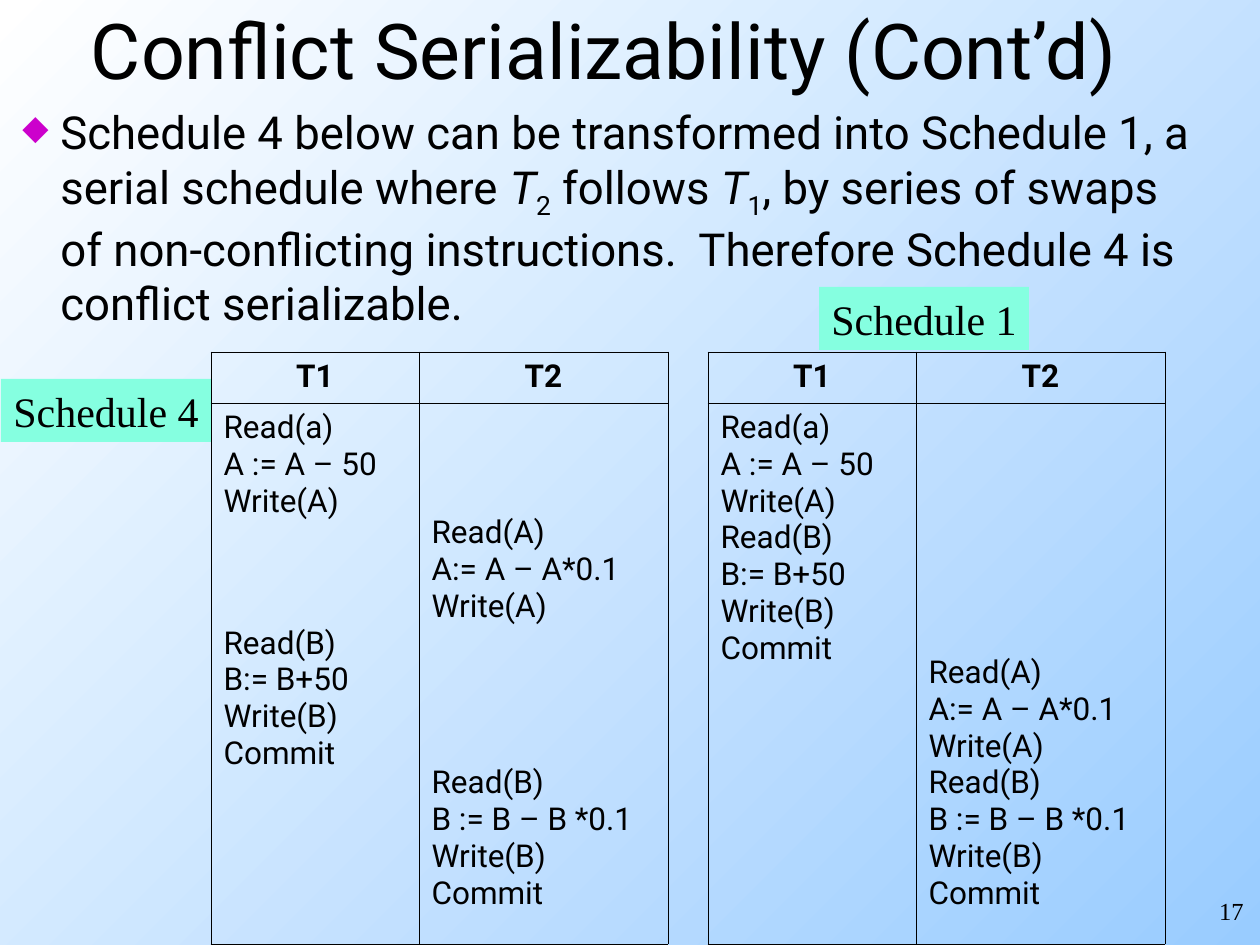
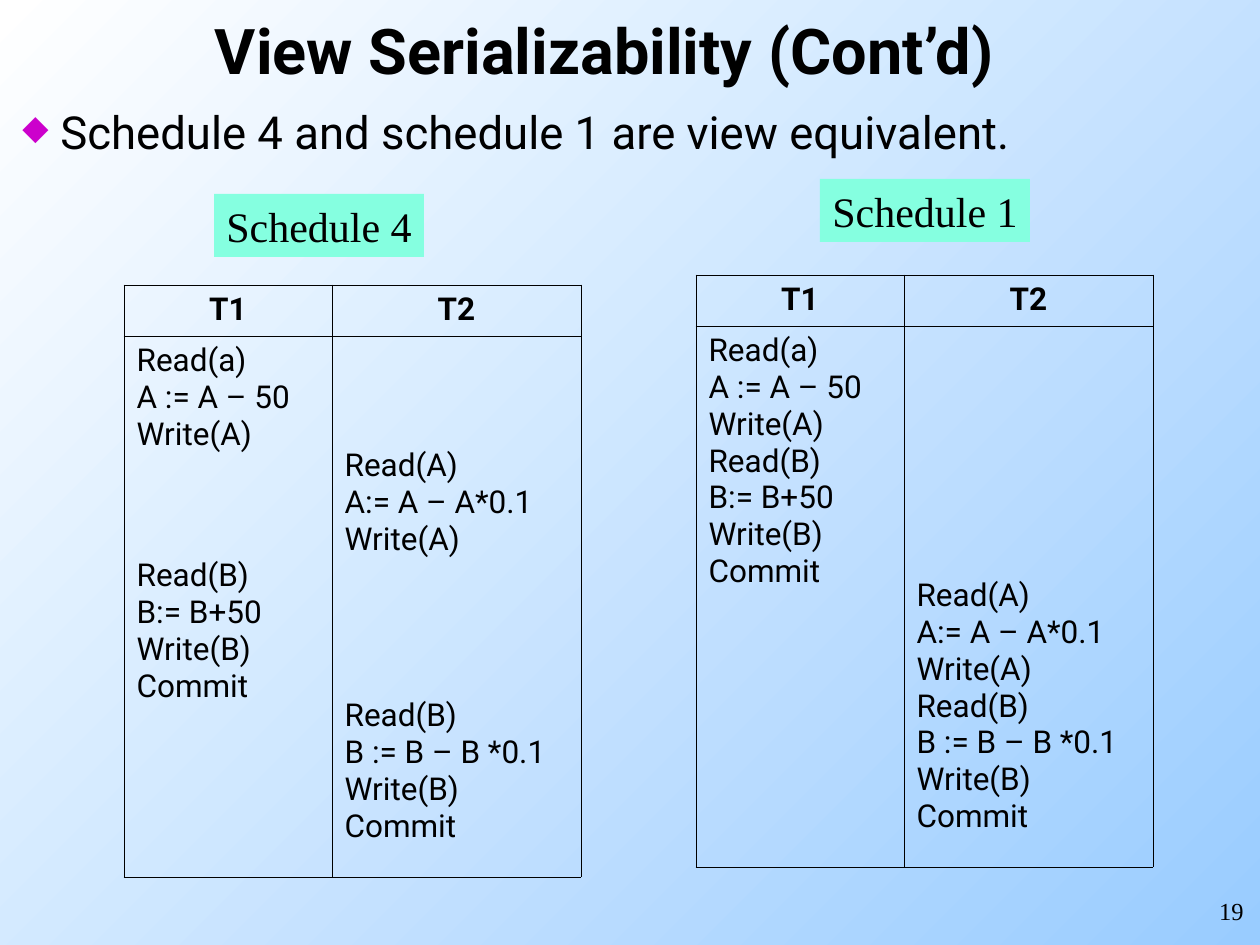
from pptx import Presentation, oxml
from pptx import util as u
from pptx.dml import color
from pptx.enum import shapes, text
from pptx.oxml import ns

PX_PER_INCH = 126
BLACK, WHITE, SKY = "000000", "FFFFFF", "99CCFF"
MINT, MAGENTA = "85FFE0", "CC00CC"
SANS, SERIF = "Roboto", "Times New Roman"


def px(length):
    return u.Emu(round(length * u.Inches(1) / PX_PER_INCH))


def rgb(code):
    return color.RGBColor.from_string(code)


class Page:
    """Style of the deck and the slide being drawn."""

    column_widths = (208, 249)
    row_heights = (51, 541)
    gap_step = 35      # height of one idle step in a schedule
    border_points = 0.45

    def __init__(self, deck):
        self.slide = deck.slides.add_slide(deck.slide_layouts[6])
        fill = self.slide.background.fill
        fill.gradient()
        fill.gradient_angle = 315
        for stop, position, code in zip(fill.gradient_stops, (0, 1), (WHITE, SKY)):
            stop.position = position
            stop.color.rgb = rgb(code)

    def style(self, para, size, face=SANS, bold=False, align=text.PP_ALIGN.LEFT):
        para.alignment = align
        for span in para.runs:
            span.font.size = u.Pt(size)
            span.font.name = face
            span.font.bold = bold
            span.font.color.rgb = rgb(BLACK)

    def text_box(self, left, top, width, height):
        box = self.slide.shapes.add_textbox(px(left), px(top), px(width), px(height))
        box.text_frame.word_wrap = True
        return box.text_frame

    def title(self, words, size, bold=False):
        frame = self.text_box(69, 0, 1071, 98)
        frame.margin_top = frame.margin_bottom = 0
        frame.vertical_anchor = text.MSO_ANCHOR.MIDDLE
        frame.text = words
        self.style(frame.paragraphs[0], size, bold=bold, align=text.PP_ALIGN.CENTER)

    def bullet(self, pieces):
        """Draw one bullet from (words, kind) pieces; kind is "", "italic" or "sub"."""
        para = self.text_box(0, 98, 1211, 561).paragraphs[0]
        for words, kind in pieces:
            span = para.add_run()
            span.text = words
            if kind == "italic":
                span.font.italic = True
            elif kind == "sub":
                span._r.get_or_add_rPr().set("baseline", "-25000")
        self.style(para, 26)
        props = para._p.get_or_add_pPr()
        props.set("marL", str(px(48)))
        props.set("indent", str(px(-38)))
        for markup in (f'<a:buClr {ns.nsdecls("a")}><a:srgbClr val="{MAGENTA}"/></a:buClr>',
                       f'<a:buSzPct {ns.nsdecls("a")} val="75000"/>',
                       f'<a:buChar {ns.nsdecls("a")} char="◆"/>'):
            props.append(oxml.parse_xml(markup))

    def page_number(self, number):
        frame = self.text_box(994, 890, 262, 45)
        frame.text = str(number)
        self.style(frame.paragraphs[0], 14, SERIF, align=text.PP_ALIGN.RIGHT)

    def label(self, words, left, top):
        box = self.slide.shapes.add_shape(
            shapes.MSO_SHAPE.RECTANGLE, px(left), px(top), px(210), px(63))
        box.shadow.inherit = False
        box.fill.solid()
        box.fill.fore_color.rgb = rgb(MINT)
        box.line.fill.background()
        frame = box.text_frame
        frame.word_wrap = True
        frame.margin_right = 0    # room to keep the label on one line
        frame.vertical_anchor = text.MSO_ANCHOR.TOP
        frame.text = words
        self.style(frame.paragraphs[0], 24, SERIF)

    def outline(self, cell):
        props = cell._tc.get_or_add_tcPr()
        for side in ("lnL", "lnR", "lnT", "lnB"):
            props.append(oxml.parse_xml(
                f'<a:{side} {ns.nsdecls("a")} w="{u.Pt(self.border_points)}"><a:solidFill>'
                f'<a:srgbClr val="{BLACK}"/></a:solidFill></a:{side}>'))
        cell.fill.background()

    def steps(self, cell, groups):
        """Fill a cell with (idle steps before, instructions) groups."""
        cell.text_frame.text = "\n".join(line for _, lines in groups for line in lines)
        paras = cell.text_frame.paragraphs
        for para in paras:
            self.style(para, 18)
        first = 0
        for idle, lines in groups:
            gap = idle * self.gap_step
            if first == 0:
                cell.margin_top = px(6 + gap)
            else:
                paras[first].space_before = u.Pt(round(px(gap).pt, 1))
            first += len(lines)

    def schedule(self, left, top, transactions):
        frame = self.slide.shapes.add_table(
            2, 2, px(left), px(top), px(sum(self.column_widths)), px(sum(self.row_heights)))
        table = frame.table
        table.first_row = table.horz_banding = False
        for row, height in zip(table.rows, self.row_heights):
            row.height = px(height)
        for index, (name, groups) in enumerate(transactions.items()):
            table.columns[index].width = px(self.column_widths[index])
            head, body = table.cell(0, index), table.cell(1, index)
            head.text_frame.text = name
            self.style(head.text_frame.paragraphs[0], 18, bold=True,
                       align=text.PP_ALIGN.CENTER)
            self.steps(body, groups)
            self.outline(head)
            self.outline(body)


# Instructions of the two transactions
T1_ON_A = ["Read(a)", "A := A – 50", "Write(A)"]
T1_ON_B = ["Read(B)", "B:= B+50", "Write(B)", "Commit"]
T2_ON_A = ["Read(A)", "A:= A – A*0.1", "Write(A)"]
T2_ON_B = ["Read(B)", "B := B – B *0.1", "Write(B)", "Commit"]

SCHEDULE_1 = {"T1": [(0, T1_ON_A + T1_ON_B)], "T2": [(7, T2_ON_A + T2_ON_B)]}
SCHEDULE_4 = {"T1": [(0, T1_ON_A), (3, T1_ON_B)], "T2": [(3, T2_ON_A), (4, T2_ON_B)]}


# Slides
def conflict_page(deck):
    page = Page(deck)
    page.title("Conflict Serializability (Cont’d)", 44)
    page.bullet([
        ("Schedule 4 below can be transformed into Schedule 1, a serial schedule where ", ""),
        ("T", "italic"), ("2", "sub"), (" follows ", ""), ("T", "italic"), ("1", "sub"),
        (", by series of swaps of non-conflicting instructions.  "
         "Therefore Schedule 4 is conflict serializable.", ""),
    ])
    page.page_number(17)
    page.label("Schedule 4", 1, 379)
    page.label("Schedule 1", 819, 287)
    page.schedule(708, 352, SCHEDULE_1)
    page.schedule(211, 352, SCHEDULE_4)


def view_page(deck):
    page = Page(deck)
    page.title("View Serializability (Cont’d)", 36, bold=True)
    page.bullet([("Schedule 4 and schedule 1 are view equivalent.", "")])
    page.page_number(19)
    page.label("Schedule 4", 214, 194)
    page.label("Schedule 1", 820, 179)
    page.schedule(696, 275, SCHEDULE_1)
    page.schedule(124, 285, SCHEDULE_4)


def main():
    deck = Presentation()
    deck.slide_width, deck.slide_height = px(1260), px(945)
    conflict_page(deck)
    view_page(deck)
    deck.save("out.pptx")


if __name__ == "__main__":
    main()
